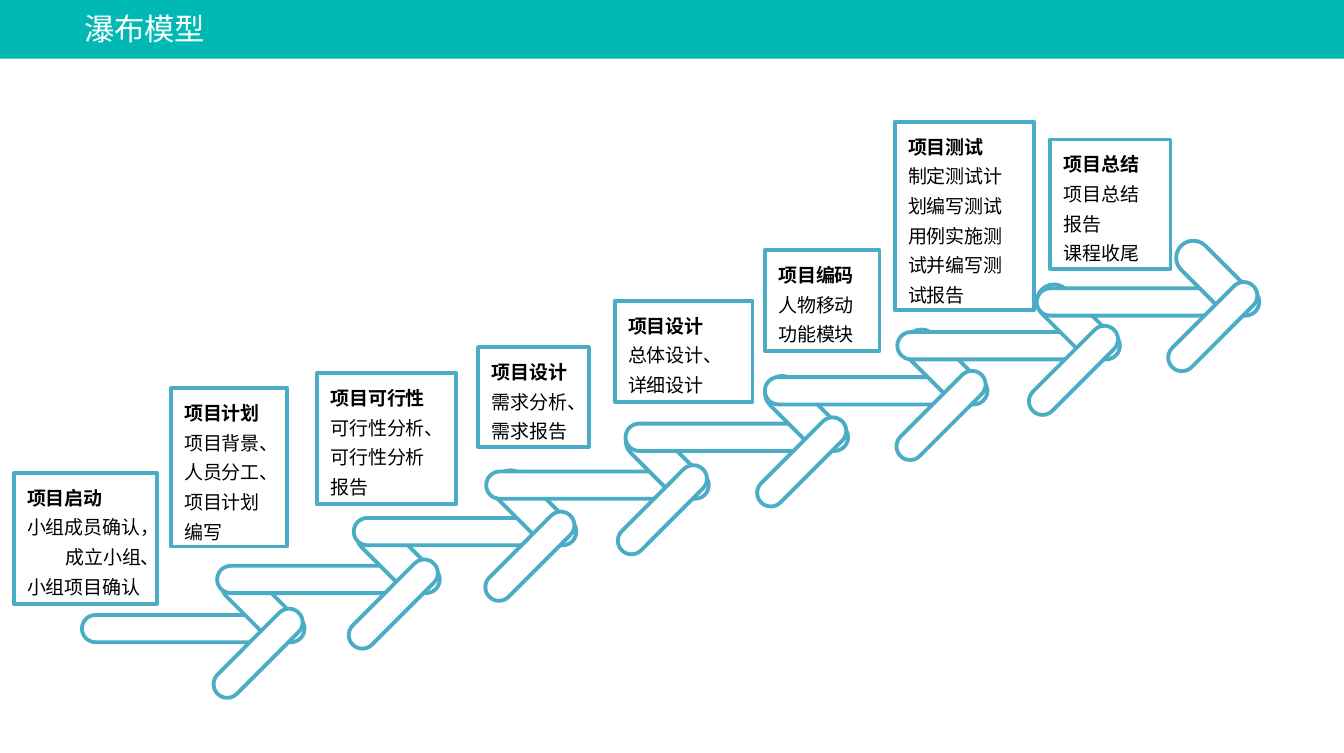
"""Build the waterfall model slide with rising arrows and stage cards."""
import dataclasses

import pptx
import pptx.dml.color
import pptx.enum.lang
import pptx.enum.shapes
import pptx.enum.text
import pptx.util

Inches = pptx.util.Inches
Pt = pptx.util.Pt
SHAPES = pptx.enum.shapes.MSO_SHAPE
ALIGN = pptx.enum.text.PP_ALIGN
FIT = pptx.enum.text.MSO_AUTO_SIZE

TITLE = "瀑布模型"
STAGES = [
    ("项目启动", [("小组成员确认，", 0), ("成立小组、", 0.28), ("小组项目确认", 0)],
     (0.1, 3.46, 1.05, 0.96)),
    ("项目计划", [("项目背景、人员分工、", 0), ("项目计划编写", 0)],
     (1.25, 2.84, 0.85, 1.16)),
    ("项目可行性", [("可行性分析、可行性分析报告", 0)], (2.32, 2.73, 1.02, 0.96)),
    ("项目设计", [("需求分析、需求报告", 0)], (3.5, 2.54, 0.81, 0.73)),
    ("项目设计", [("总体设计、详细设计", 0)], (4.5, 2.2, 1.01, 0.74)),
    ("项目编码", [("人物移动功能模块", 0)], (5.6, 1.83, 0.84, 0.74)),
    ("项目测试", [("制定测试计划编写测试用例实施测试并编写测试报告", 0)],
     (6.55, 0.89, 1.02, 1.38)),
    ("项目总结", [("项目总结报告", 0), ("课程收尾", 0)], (7.69, 1.02, 0.88, 0.95)),
]
ARROW_STARTS = [(0.6, 4.5), (1.59, 4.14), (2.59, 3.79), (3.56, 3.45),
                (4.58, 3.1), (5.6, 2.76), (6.57, 2.43), (7.59, 2.11)]
ARROW_BARS = [(0, 0, 1.63, 0.2, 0), (0.96, -0.2, 0.67, 0.25, 45),
              (0.87, 0.18, 0.84, 0.2, 315)]


@dataclasses.dataclass(frozen=True)
class Theme:
    band: str = "00B8B4"
    outline: str = "4BACC6"
    paper: str = "FFFFFF"
    ink: str = "000000"
    title_font: str = "Noto Sans CJK SC"
    card_font: str = "Arial"
    title_size: int = 16
    card_size: int = 10
    line_width: int = 2


THEME = Theme()


def rgb(value):
    return pptx.dml.color.RGBColor.from_string(value)


def add_box(shapes, kind, place, fill, outline=None):
    box = shapes.add_shape(kind, *map(Inches, place))
    box.shadow.inherit = False
    box.fill.solid()
    box.fill.fore_color.rgb = rgb(fill)
    if outline:
        box.line.color.rgb = rgb(outline)
        box.line.width = Pt(THEME.line_width)
    else:
        box.line.fill.background()
    return box


def write(para, text, *, font=THEME.card_font, size=THEME.card_size, color=THEME.ink,
          bold=False, align=ALIGN.LEFT, spacing=1.3, indent=0):
    para.alignment = align
    para.line_spacing = spacing
    para.space_before = Pt(0)
    if indent:
        para._p.get_or_add_pPr().set("marL", str(Inches(indent)))
    span = para.add_run()
    span.text = text
    span.font.name = font
    span.font.size = Pt(size)
    span.font.bold = bold
    span.font.color.rgb = rgb(color)
    span.font.language_id = pptx.enum.lang.MSO_LANGUAGE_ID.SIMPLIFIED_CHINESE


def add_title(page, width):
    title = page.shapes.title
    title.left, title.top, title.width, title.height = map(Inches, (0, 0.02, 2.12, 0.47))
    frame = title.text_frame
    frame.margin_left = frame.margin_right = frame.margin_top = frame.margin_bottom = 0
    frame.vertical_anchor = pptx.enum.text.MSO_ANCHOR.TOP
    frame.auto_size = FIT.NONE
    write(frame.paragraphs[0], TITLE, font=THEME.title_font, size=THEME.title_size,
          color=THEME.paper, align=ALIGN.CENTER, spacing=1.2)
    band = add_box(page.shapes, SHAPES.RECTANGLE, (0, 0, width, 0.43), THEME.band)
    title.element.addprevious(band.element)


def add_card(page, heading, details, place):
    card = add_box(page.shapes, SHAPES.RECTANGLE, place, THEME.paper, THEME.outline)
    frame = card.text_frame
    frame.word_wrap = True
    frame.auto_size = FIT.SHAPE_TO_FIT_TEXT
    frame.vertical_anchor = pptx.enum.text.MSO_ANCHOR.TOP
    write(frame.paragraphs[0], heading, bold=True)
    for text, indent in details:
        write(frame.add_paragraph(), text, indent=indent)


def add_arrow(page, left, top):
    arrow = page.shapes.add_group_shape()
    for across, down, width, height, angle in ARROW_BARS:
        bar = add_box(arrow.shapes, SHAPES.ROUNDED_RECTANGLE,
                      (left + across, top + down, width, height),
                      THEME.paper, THEME.outline)
        bar.adjustments[0] = 0.5
        bar.rotation = angle


def main():
    width, height = 9.84, 5.51
    deck = pptx.Presentation()
    deck.slide_width, deck.slide_height = Inches(width), Inches(height)
    page = deck.slides.add_slide(deck.slide_layouts.get_by_name("Title Only"))
    add_title(page, width)
    for heading, details, place in STAGES:
        add_card(page, heading, details, place)
    for left, top in ARROW_STARTS:
        add_arrow(page, left, top)
    deck.save("out.pptx")


if __name__ == "__main__":
    main()
